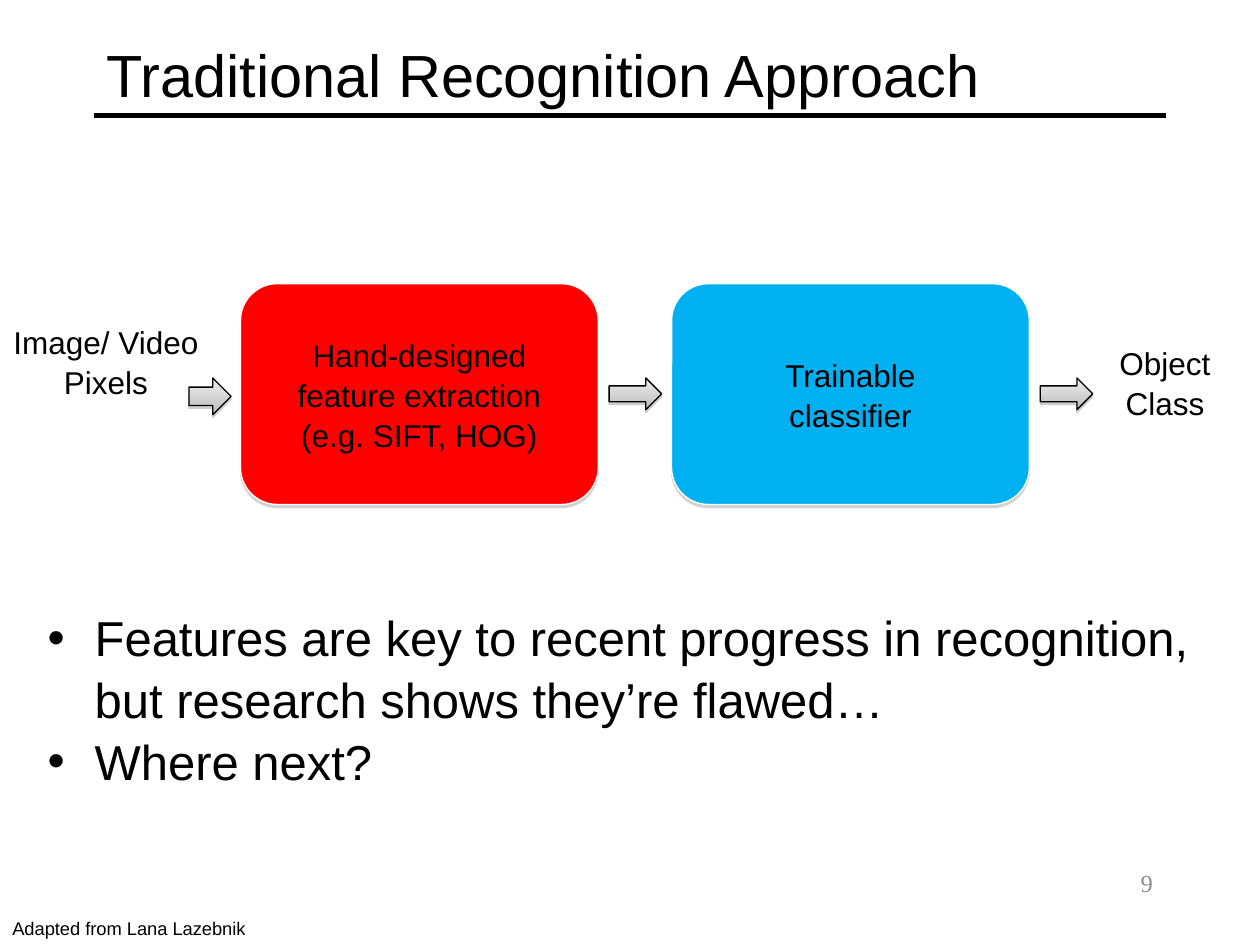
from lxml.etree import SubElement
from pptx import Presentation
from pptx.dml.color import RGBColor
from pptx.enum.shapes import MSO_CONNECTOR, MSO_SHAPE
from pptx.enum.text import MSO_ANCHOR, PP_ALIGN
from pptx.oxml.ns import qn
from pptx.util import Cm, Pt

COLORS = {
    "ink": "000000",
    "edge": "FFFFFF",
    "features": "FF0000",
    "classifier": "00B0F0",
    "arrow_top": "EDEDED",
    "arrow_bottom": "BCBCBC",
    "shadow": "808080",
    "number": "8C8C8C",
}
STAGE_PITCH = 8.69
STAGES = [
    ("Hand-designed\vfeature extraction (e.g. SIFT, HOG)", "features"),
    ("Trainable\vclassifier", "classifier"),
]


def rgb(name):
    return RGBColor.from_string(COLORS[name])


def write(frame, text, size, align=PP_ALIGN.LEFT, color="ink", font="Arial"):
    frame.word_wrap = True
    frame.text = text
    for paragraph in frame.paragraphs:
        paragraph.alignment = align
        paragraph.line_spacing = 1.05
        for run in paragraph.runs:
            run.font.size = Pt(size)
            run.font.name = font
            run.font.color.rgb = rgb(color)


def add_label(slide, box, text, size, **style):
    label = slide.shapes.add_textbox(*map(Cm, box))
    write(label.text_frame, text, size, **style)
    return label.text_frame


def add_shadow(shape, distance, opacity):
    shape.shadow.inherit = False
    effects = shape._element.spPr.find(qn("a:effectLst"))
    shadow = SubElement(effects, qn("a:outerShdw"), blurRad="0",
                        dist=str(Pt(distance)), dir="5400000", rotWithShape="0")
    tint = SubElement(shadow, qn("a:srgbClr"), val=COLORS["shadow"])
    SubElement(tint, qn("a:alpha"), val=str(opacity * 1000))


def add_stage(slide, left, text, color):
    stage = slide.shapes.add_shape(
        MSO_SHAPE.ROUNDED_RECTANGLE, Cm(left), Cm(5.72), Cm(7.21), Cm(4.45))
    stage.fill.solid()
    stage.fill.fore_color.rgb = rgb(color)
    stage.line.color.rgb = rgb("edge")
    stage.line.width = Pt(0.75)
    add_shadow(stage, 1.8, 35)
    stage.text_frame.vertical_anchor = MSO_ANCHOR.MIDDLE
    write(stage.text_frame, text, 18, align=PP_ALIGN.CENTER)


def add_arrow(slide, left, width, height):
    arrow = slide.shapes.add_shape(
        MSO_SHAPE.RIGHT_ARROW, Cm(left), Cm(7.62), Cm(width), Cm(height))
    arrow.fill.gradient()
    arrow.fill.gradient_angle = 270
    for stop, name in zip(arrow.fill.gradient_stops, ("arrow_top", "arrow_bottom")):
        stop.color.rgb = rgb(name)
    arrow.fill.gradient_stops[0].position = 0
    arrow.fill.gradient_stops[1].position = 1
    arrow.line.color.rgb = rgb("ink")
    arrow.line.width = Pt(0.75)
    add_shadow(arrow, 1.6, 38)


def add_rule(slide):
    rule = slide.shapes.add_connector(
        MSO_CONNECTOR.STRAIGHT, Cm(1.9), Cm(2.33), Cm(23.5), Cm(2.33))
    rule.line.color.rgb = rgb("ink")
    rule.line.width = Pt(3)
    SubElement(rule._element.spPr, qn("a:effectLst"))


def add_bullets(slide, box, points):
    frame = add_label(slide, box, "\n".join(points), 28)
    for paragraph in frame.paragraphs:
        properties = paragraph._p.get_or_add_pPr()
        properties.set("marL", str(Cm(0.95)))
        properties.set("indent", str(Cm(-0.95)))
        SubElement(properties, qn("a:buFont"), typeface="Arial")
        SubElement(properties, qn("a:buChar"), char="•")


def main():
    deck = Presentation()
    deck.slide_width, deck.slide_height = Cm(25.4), Cm(19.05)
    slide = deck.slides.add_slide(deck.slide_layouts[6])

    add_rule(slide)
    title = add_label(slide, (1.9, 0.28, 21.59, 2.34),
                      "Traditional Recognition Approach", 34)
    title.vertical_anchor = MSO_ANCHOR.MIDDLE

    add_arrow(slide, 3.81, 0.85, 0.74)
    for index, (text, color) in enumerate(STAGES):
        add_stage(slide, 4.85 + index * STAGE_PITCH, text, color)
        add_arrow(slide, 12.28 + index * STAGE_PITCH, 1.06, 0.64)

    add_label(slide, (-0.38, 6.35, 5.03, 3.33), "Image/ Video\nPixels", 18,
              align=PP_ALIGN.CENTER)
    add_label(slide, (22, 6.78, 2.97, 2.31), "Object\vClass", 18,
              align=PP_ALIGN.CENTER)

    add_bullets(slide, (0.71, 12.07, 24.26, 4.65), [
        "Features are key to recent progress in recognition, "
        "but research shows they’re flawed…",
        "Where next?",
    ])
    credit = add_label(slide, (0, 18.34, 5.31, 0.71),
                       "Adapted from Lana Lazebnik", 10.5)
    credit.word_wrap = False
    add_label(slide, (18.21, 17.35, 5.28, 1.27), "9", 14, align=PP_ALIGN.RIGHT,
              color="number", font="Times New Roman")

    deck.save("out.pptx")


if __name__ == "__main__":
    main()
